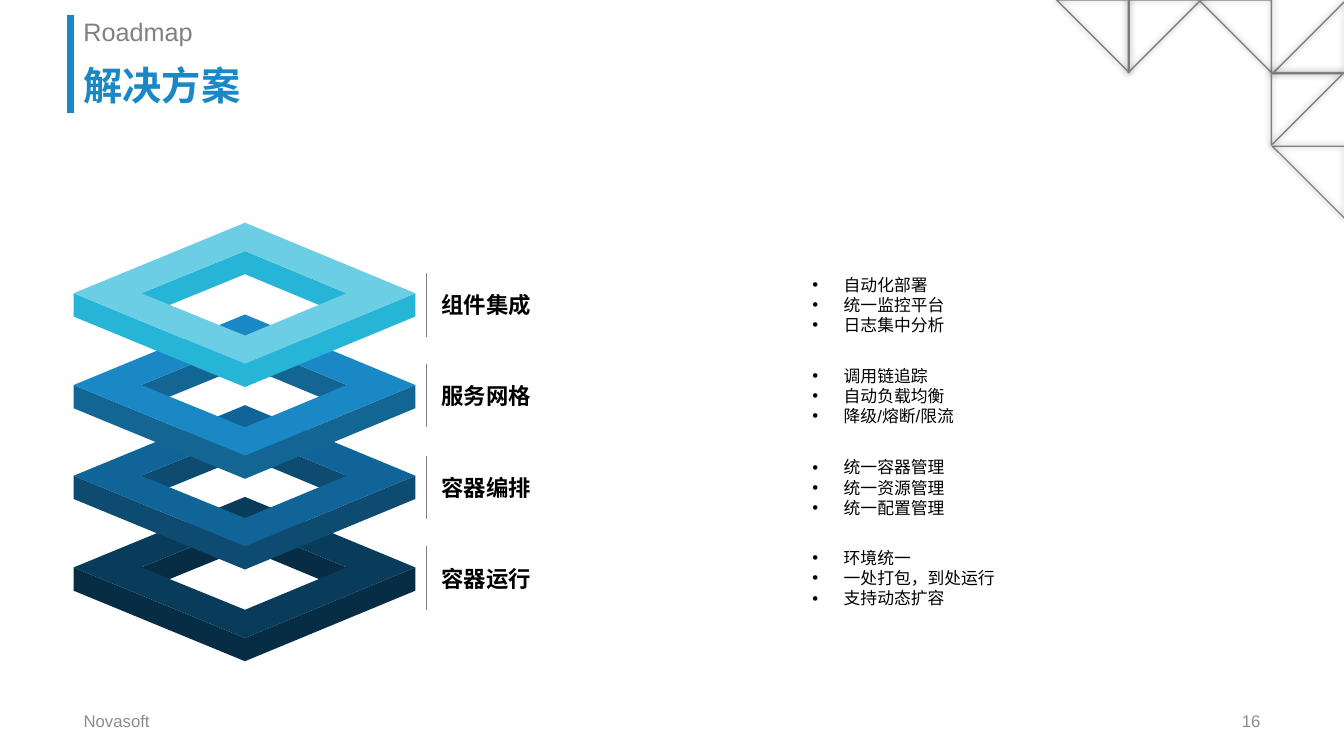
from lxml import etree
from pptx import Presentation
from pptx import util as u
from pptx.dml.color import RGBColor
from pptx.enum import shapes, text
from pptx.oxml import ns

COLOURS = {"blue": "1988C5", "grey": "808080", "footer": "8C8C8C", "black": "000000"}
FONT = "Arial"
PX = 9144  # 100 px to the inch


class SlideBuilder:
    def __init__(self, slide):
        self.slide = slide

    def px(self, *lengths):
        return [u.Emu(length * PX) for length in lengths]

    def colour(self, name):
        return RGBColor.from_string(COLOURS.get(name, name))

    def effects(self, shape):
        return etree.SubElement(shape._element.spPr, ns.qn("a:effectLst"))

    def set_text(self, shape, lines, size, colour, bold=False, anchor="MIDDLE",
                 align="LEFT", spacing=1.0, bullet=False):
        frame = shape.text_frame
        frame.auto_size = text.MSO_AUTO_SIZE.NONE
        frame.word_wrap = True
        frame.vertical_anchor = getattr(text.MSO_ANCHOR, anchor)
        for index, line in enumerate(lines):
            paragraph = frame.add_paragraph() if index else frame.paragraphs[0]
            paragraph.text = line
            paragraph.alignment = getattr(text.PP_ALIGN, align)
            paragraph.line_spacing = spacing
            if bullet:
                self.add_bullet(paragraph)
            font = paragraph.font
            font.name, font.size, font.bold = FONT, u.Pt(size), bold
            font.color.rgb = self.colour(colour)
        return frame

    def add_bullet(self, paragraph):
        indent = 31 * PX
        properties = paragraph._p.get_or_add_pPr()
        properties.set("marL", str(indent))
        properties.set("indent", str(-indent))
        etree.SubElement(properties, ns.qn("a:buFont")).set("typeface", FONT)
        etree.SubElement(properties, ns.qn("a:buChar")).set("char", "•")

    def title(self, box, line, **style):
        title = self.slide.shapes.title
        title.left, title.top, title.width, title.height = self.px(*box)
        self.set_text(title, [line], **style)

    def textbox(self, box, lines, **style):
        shape = self.slide.shapes.add_textbox(*self.px(*box))
        return self.set_text(shape, lines, **style)

    def label(self, box, line, **style):
        frame = self.textbox(box, [line], **style)
        frame.word_wrap = False
        frame.margin_left = frame.margin_right = 0
        frame.margin_top = frame.margin_bottom = 0

    def line(self, start, end, colour, width):
        connector = self.slide.shapes.add_connector(
            shapes.MSO_CONNECTOR.STRAIGHT, *self.px(*start, *end))
        connector.line.color.rgb = self.colour(colour)
        connector.line.width = u.Pt(width)
        self.effects(connector)

    def triangle(self, left, top, side, rotation):
        shape = self.slide.shapes.add_shape(
            shapes.MSO_SHAPE.RIGHT_TRIANGLE, *self.px(left, top, side, side))
        shape.rotation = rotation
        shape._element.spPr.xfrm.set("flipV", "1")
        shape.fill.background()
        shape.line.color.rgb = self.colour("grey")
        shape.line.width = u.Pt(1)
        shadow = etree.SubElement(self.effects(shape), ns.qn("a:outerShdw"),
                                  blurRad=str(u.Pt(5)), dist="0", dir="0", algn="ctr")
        black = etree.SubElement(shadow, ns.qn("a:srgbClr"), val=COLOURS["black"])
        etree.SubElement(black, ns.qn("a:alpha"), val="40000")

    def polygon(self, contours, colour):
        builder = None
        for first, *rest in contours:
            if builder is None:
                builder = self.slide.shapes.build_freeform(*first, scale=PX)
            else:
                builder.move_to(*first)
            builder.add_line_segments(rest, close=True)
        shape = builder.convert_to_shape()
        shape.shadow.inherit = False
        shape.fill.solid()
        shape.fill.fore_color.rgb = self.colour(colour)
        shape.line.fill.background()

    def frame_layer(self, top, face, side):
        """An isometric square frame: its inner and outer sides, then its top face."""
        def diamond(left, right, half_height):
            middle = top + 71
            return [(243, middle - half_height), (right, middle),
                    (243, middle + half_height), (left, middle)]

        def wall(start, end):
            depth = 23
            return [start, end, (end[0], end[1] + depth), (start[0], start[1] + depth)]

        outer = diamond(73, 412, 70)
        inner = diamond(140, 344, 42)
        self.polygon([wall(inner[3], inner[0])], side)
        self.polygon([wall(inner[0], inner[1]), wall(outer[3], outer[2])], side)
        self.polygon([wall(outer[2], outer[1])], side)
        self.polygon([outer, inner[::-1]], face)


LAYERS = [  # label, points, top colour, side colour
    ("组件集成", ["自动化部署", "统一监控平台", "日志集中分析"], "6CCEE5", "26B5D7"),
    ("服务网格", ["调用链追踪", "自动负载均衡", "降级/熔断/限流"], "1988C5", "136694"),
    ("容器编排", ["统一容器管理", "统一资源管理", "统一配置管理"], "116497", "0D4B71"),
    ("容器运行", ["环境统一", "一处打包，到处运行", "支持动态扩容"], "093C5B", "072D44"),
]
TRIANGLES = [(1262, 1, 180), (1189, 0, 90), (1119, 0, 0),
             (1048, 0, 90), (1262, 145, 90), (1261, 72, 0)]


def main():
    presentation = Presentation()
    presentation.slide_width, presentation.slide_height = u.Emu(1333 * PX), u.Emu(750 * PX)
    slide = presentation.slides.add_slide(presentation.slide_layouts[5])
    builder = SlideBuilder(slide)

    # Corner pattern
    for left, top, rotation in TRIANGLES:
        builder.triangle(left, top, 72, rotation)

    # Heading
    builder.line((70, 15), (70, 112), "blue", 5)
    builder.title((73, 54, 1187, 59), "解决方案", size=28, colour="blue", bold=True,
                  anchor="BOTTOM", spacing=0.9)
    builder.textbox((73, 15, 1187, 39), ["Roadmap"], size=18, colour="grey",
                    anchor="TOP", spacing=0.9)

    # Footer
    builder.textbox((73, 695, 318, 40), ["Novasoft"], size=12, colour="footer")
    builder.textbox((942, 695, 318, 40), ["16"], size=12, colour="footer", align="RIGHT")

    # Stack, from the lowest layer up
    for row, (_, _, face, side) in reversed(list(enumerate(LAYERS))):
        builder.frame_layer(220 + round(row * 90.6), face, side)

    # Dividers, labels and points
    for row, (name, points, _, _) in enumerate(LAYERS):
        offset = round(row * 90.3)
        builder.line((423, 271 + offset), (423, 334 + offset), "grey", 0.5)
        builder.label((438, 283 + offset, 110, 39), name, size=16, colour="black", bold=True)
        builder.textbox((796, 267 + offset, 309, 71), points, size=12, colour="black",
                        bullet=True)

    presentation.save("out.pptx")


if __name__ == "__main__":
    main()
